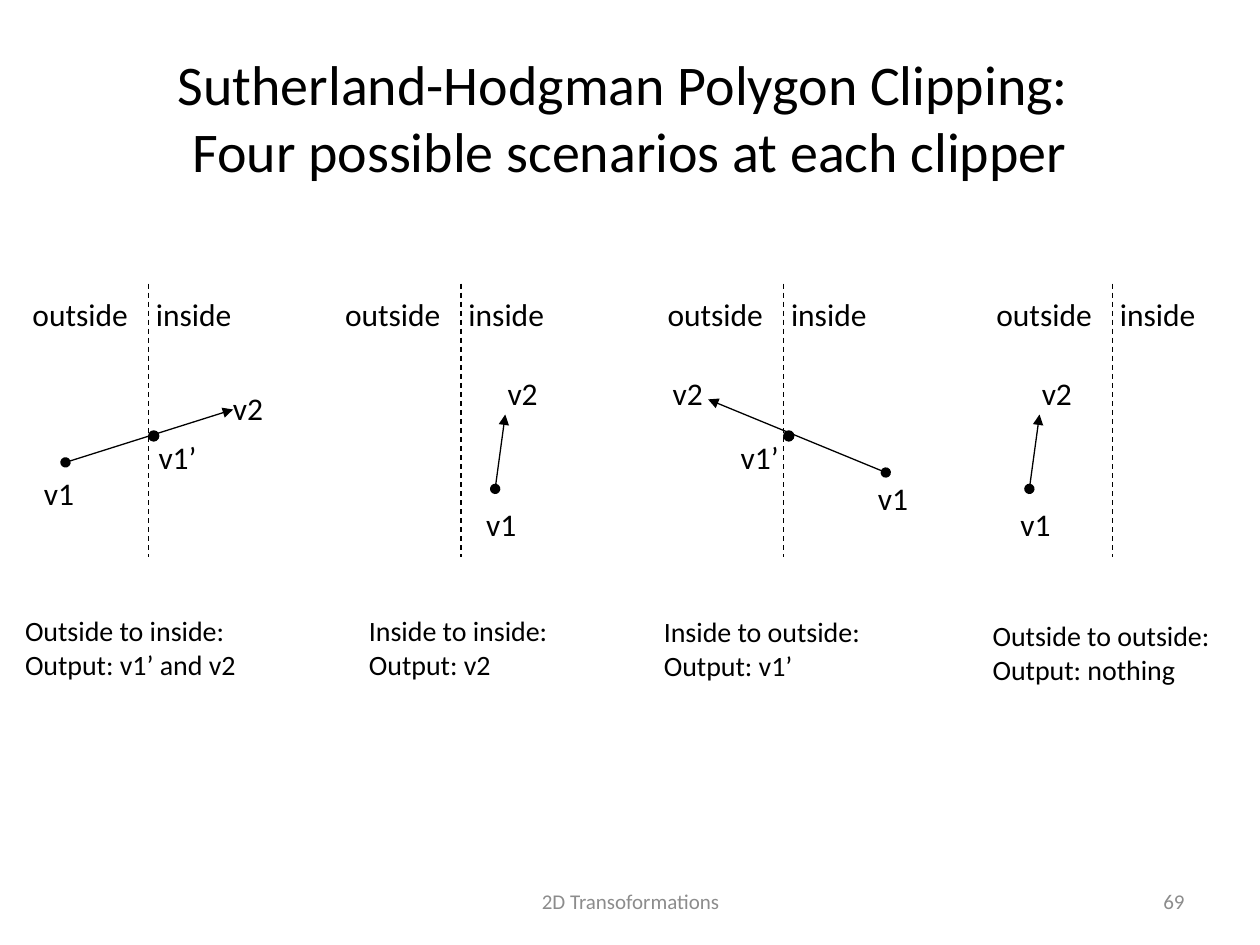
from lxml.etree import SubElement
from pptx import Presentation
from pptx.dml.color import RGBColor
from pptx.enum.dml import MSO_LINE
from pptx.enum.shapes import MSO_CONNECTOR, MSO_SHAPE
from pptx.enum.text import MSO_ANCHOR, PP_ALIGN
from pptx.oxml.ns import qn
from pptx.util import Inches, Pt

COLORS = {"ink": "000000", "footer": "8C8C8C"}

presentation = Presentation()
presentation.slide_width, presentation.slide_height = Inches(10), Inches(7.5)
slide = presentation.slides.add_slide(presentation.slide_layouts[6])


def add_text(text, left, top, width, height, size=18, color="ink", wrap=False,
             anchor=MSO_ANCHOR.TOP, align=PP_ALIGN.LEFT, tab=None):
    box = slide.shapes.add_textbox(Inches(left), Inches(top), Inches(width), Inches(height))
    frame = box.text_frame
    frame.text = text
    frame.word_wrap = wrap
    frame.vertical_anchor = anchor
    font_format = {"name": "Calibri", "size": Pt(size)}
    for paragraph in frame.paragraphs:
        paragraph.alignment = align
        if tab:
            tabs = SubElement(paragraph._p.get_or_add_pPr(), qn("a:tabLst"))
            SubElement(tabs, qn("a:tab"), pos=str(Inches(tab)), algn="l")
        for run in paragraph.runs:
            for name, value in font_format.items():
                setattr(run.font, name, value)
            run.font.color.rgb = RGBColor.from_string(COLORS[color])


def add_line(start, end, dashed=False):
    connector = slide.shapes.add_connector(
        MSO_CONNECTOR.STRAIGHT, *(Inches(value) for value in (*start, *end)))
    connector.line.color.rgb = RGBColor.from_string(COLORS["ink"])
    connector.line.width = Pt(0.75)
    if dashed:
        connector.line.dash_style = MSO_LINE.DASH
    else:
        line = connector.line._get_or_add_ln()
        SubElement(line, qn("a:headEnd"), type="oval")
        SubElement(line, qn("a:tailEnd"), type="triangle")
    SubElement(connector._element.spPr, qn("a:effectLst"))


# Title
add_text("Sutherland-Hodgman Polygon Clipping: \vFour possible scenarios at each clipper",
         0.5, 0.3, 9, 1.25, size=32, wrap=True, anchor=MSO_ANCHOR.MIDDLE, align=PP_ALIGN.CENTER)

# Scenarios: clip edge x, vector ends, vertex label corners, caption
scenarios = [
    {"edge": 1.18, "vector": ((0.52, 3.67), (1.85, 3.25)),
     "labels": {"v1": (0.25, 3.71), "v1’": (1.16, 3.43), "v2": (1.75, 3.04)},
     "caption": ("Outside to inside:\nOutput: v1’ and v2", 0.1, 4.82, 2.01)},
    {"edge": 3.66, "vector": ((3.93, 3.88), (4.01, 3.29)),
     "labels": {"v1": (3.76, 3.96), "v2": (3.93, 2.92)},
     "caption": ("Inside to inside:\nOutput: v2", 2.83, 4.82, 1.74)},
    {"edge": 6.22, "vector": ((7.03, 3.75), (5.62, 3.17)),
     "labels": {"v1": (6.87, 3.75), "v1’": (5.78, 3.43), "v2": (5.24, 2.92)},
     "caption": ("Inside to outside:\nOutput: v1’", 5.17, 4.83, 1.88)},
    {"edge": 8.83, "vector": ((8.17, 3.88), (8.25, 3.29)),
     "labels": {"v1": (8, 3.96), "v2": (8.17, 2.92)},
     "caption": ("Outside to outside:\nOutput: nothing", 7.78, 4.86, 2.06)},
]

for scenario in scenarios:
    edge = scenario["edge"]

    # Clip edge with its two sides
    add_line((edge, 2.25), (edge, 4.42), dashed=True)
    add_text("outside\tinside", edge - 1.02, 2.29, 1.94, 0.4, wrap=True, tab=0.98)

    # Polygon side and its vertices
    add_line(*scenario["vector"])
    for label, (left, top) in scenario["labels"].items():
        add_text(label, left, top, 0.52 if label == "v1’" else 0.47, 0.4)

    # Intersection with the clip edge
    if "v1’" in scenario["labels"]:
        dot = slide.shapes.add_shape(
            MSO_SHAPE.OVAL, Inches(edge), Inches(3.42), Inches(0.08), Inches(0.08))
        dot.shadow.inherit = False
        dot.fill.solid()
        dot.fill.fore_color.rgb = RGBColor.from_string(COLORS["ink"])
        dot.line.color.rgb = RGBColor.from_string(COLORS["ink"])
        dot.line.width = Pt(0.75)

    # Caption
    add_text(*scenario["caption"], 0.64, size=16)

# Footer
for text, left, width, align in [("69", 7.17, 2.33, PP_ALIGN.RIGHT),
                                 ("2D Transoformations", 3.42, 3.17, PP_ALIGN.CENTER)]:
    add_text(text, left, 6.95, width, 0.4, size=12, color="footer", wrap=True,
             anchor=MSO_ANCHOR.MIDDLE, align=align)

presentation.save("out.pptx")
